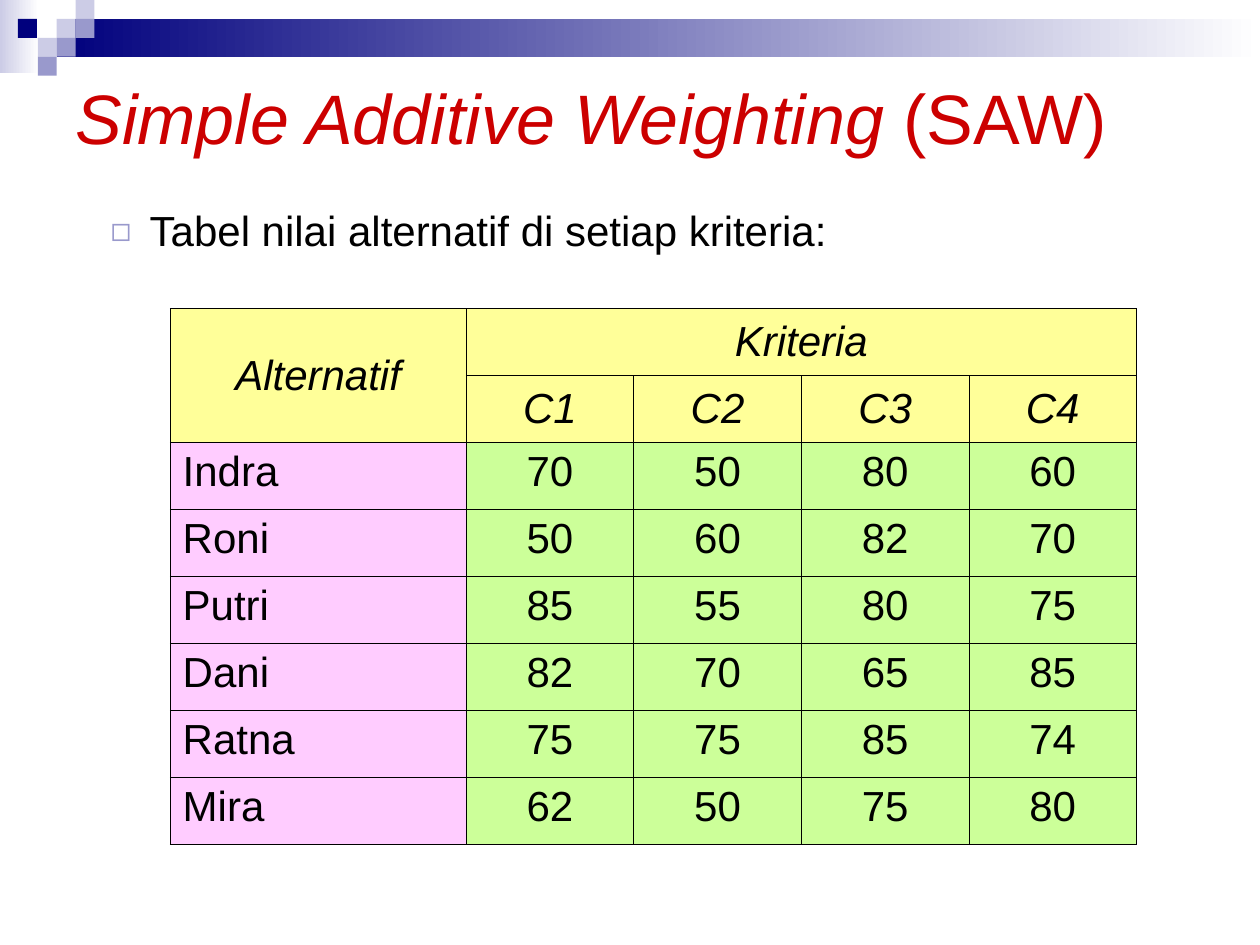
from lxml import etree
from pptx import Presentation
from pptx import util as u
from pptx.dml import color
from pptx.enum import shapes, text
from pptx.oxml import ns

NAVY, LILAC, PALE, WHITE = "00007D", "9999CC", "CCCCE6", "FFFFFF"
RED, BLACK = "CC0000", "000000"
YELLOW, PINK, GREEN = "FFFF99", "FFCCFF", "CCFF99"


def rgb(value):
    return color.RGBColor.from_string(value)


def child(parent, tag, **attrs):
    return etree.SubElement(parent, ns.qn(tag), attrs)


class SlideBuilder:
    font = "Arial"

    def __init__(self, slide):
        self.s = slide

    def set_all(self, target, values):
        for name, value in values.items():
            setattr(target, name, value)

    def place(self, sp, box):
        names = ("left", "top", "width", "height")
        self.set_all(sp, dict(zip(names, map(u.Inches, box))))

    def run(self, p, words, size, hue=BLACK, italic=False):
        r = p.add_run()
        r.text = words
        self.set_all(r.font, {"name": self.font, "size": u.Pt(size),
                              "italic": italic})
        r.font.color.rgb = rgb(hue)

    def rect(self, box, *hues):
        """One colour gives a solid fill, two give a left-to-right gradient."""
        sp = self.s.shapes.add_shape(shapes.MSO_SHAPE.RECTANGLE,
                                     *map(u.Inches, box))
        sp.shadow.inherit = False
        sp.line.fill.background()
        if len(hues) == 1:
            sp.fill.solid()
            sp.fill.fore_color.rgb = rgb(hues[0])
        else:
            sp.fill.gradient()
            sp.fill.gradient_angle = 0
            for stop, hue in zip(sp.fill.gradient_stops, hues):
                stop.color.rgb = rgb(hue)

    def title(self, box, runs):
        sp = self.s.shapes.title
        self.place(sp, box)
        tf = sp.text_frame
        self.set_all(tf, {"auto_size": text.MSO_AUTO_SIZE.NONE,
                          "word_wrap": True,
                          "vertical_anchor": text.MSO_ANCHOR.MIDDLE})
        p = tf.paragraphs[0]
        p.alignment = text.PP_ALIGN.LEFT
        for words, italic in runs:
            self.run(p, words, 40, RED, italic)

    def bullet(self, box, words):
        tf = self.s.shapes.add_textbox(*map(u.Inches, box)).text_frame
        tf.word_wrap = True
        p = tf.paragraphs[0]
        p.line_spacing = 0.9
        pPr = p._p.get_or_add_pPr()
        pPr.set("marL", str(u.Inches(0.81)))
        pPr.set("indent", str(u.Inches(-0.31)))
        child(child(pPr, "a:buClr"), "a:srgbClr", val=LILAC)
        child(pPr, "a:buSzPct", val="80000")
        child(pPr, "a:buFont", typeface=self.font)
        child(pPr, "a:buChar", char="◻")
        self.run(p, words, 24)

    def cell(self, c, words, fill, align, header):
        tcPr = c._tc.get_or_add_tcPr()
        for side in ("a:lnL", "a:lnR", "a:lnT", "a:lnB"):
            ln = child(tcPr, side, w=str(u.Pt(0.45)))
            child(child(ln, "a:solidFill"), "a:srgbClr", val=BLACK)
        c.fill.solid()
        c.fill.fore_color.rgb = rgb(fill)
        anchor = text.MSO_ANCHOR.MIDDLE if header else text.MSO_ANCHOR.TOP
        c.vertical_anchor = anchor
        if words:
            p = c.text_frame.paragraphs[0]
            p.alignment = align
            self.run(p, words, 24, italic=header)

    def table(self, box, widths, rows, header_rows, merges):
        frame = self.s.shapes.add_table(len(rows), len(widths),
                                        *map(u.Inches, box))
        tbl = frame.table
        self.set_all(tbl, {"first_row": False, "horz_banding": False})
        for col, width in zip(tbl.columns, widths):
            col.width = u.Inches(width)
        for i, row in enumerate(rows):
            header = i < header_rows
            for j, words in enumerate(row):
                name = j == 0 and not header
                fill = YELLOW if header else PINK if name else GREEN
                align = text.PP_ALIGN.LEFT if name else text.PP_ALIGN.CENTER
                self.cell(tbl.cell(i, j), words, fill, align, header)
        for first, last in merges:
            tbl.cell(*first).merge(tbl.cell(*last))


def main():
    prs = Presentation()
    prs.slide_width, prs.slide_height = u.Inches(10), u.Inches(7.5)
    b = SlideBuilder(prs.slides.add_slide(prs.slide_layouts[5]))

    # Gradient bands and corner squares
    b.rect((0, 0, 0.31, 0.58), PALE, WHITE)
    b.rect((0.45, 0.15, 9.55, 0.3), NAVY, WHITE)
    side = 0.15
    squares = [(3, 1, PALE), (4, 0, PALE), (4, 1, LILAC), (2, 2, PALE),
               (0.95, 1, NAVY), (3, 2, LILAC), (2, 3, LILAC)]
    for col, row, hue in squares:
        b.rect((col * side, row * side, side, side), hue)

    # Title and lead-in
    b.title((0.5, 0.5, 9, 0.85),
            [("Simple Additive Weighting ", True), ("(SAW)", False)])
    b.bullet((0.28, 1.62, 7.85, 0.65),
             "Tabel nilai alternatif di setiap kriteria:")

    # Scores of each alternative
    scores = {
        "Indra": (70, 50, 80, 60),
        "Roni": (50, 60, 82, 70),
        "Putri": (85, 55, 80, 75),
        "Dani": (82, 70, 65, 85),
        "Ratna": (75, 75, 85, 74),
        "Mira": (62, 50, 75, 80),
    }
    rows = [("Alternatif", "Kriteria", "", "", ""),
            ("", "C1", "C2", "C3", "C4")]
    rows += [(name, *map(str, values)) for name, values in scores.items()]
    b.table((1.35, 2.45, 7.68, 4.25), [2.35] + [1.33] * 4, rows, 2,
            [((0, 0), (1, 0)), ((0, 1), (0, 4))])

    prs.save("out.pptx")


if __name__ == "__main__":
    main()
